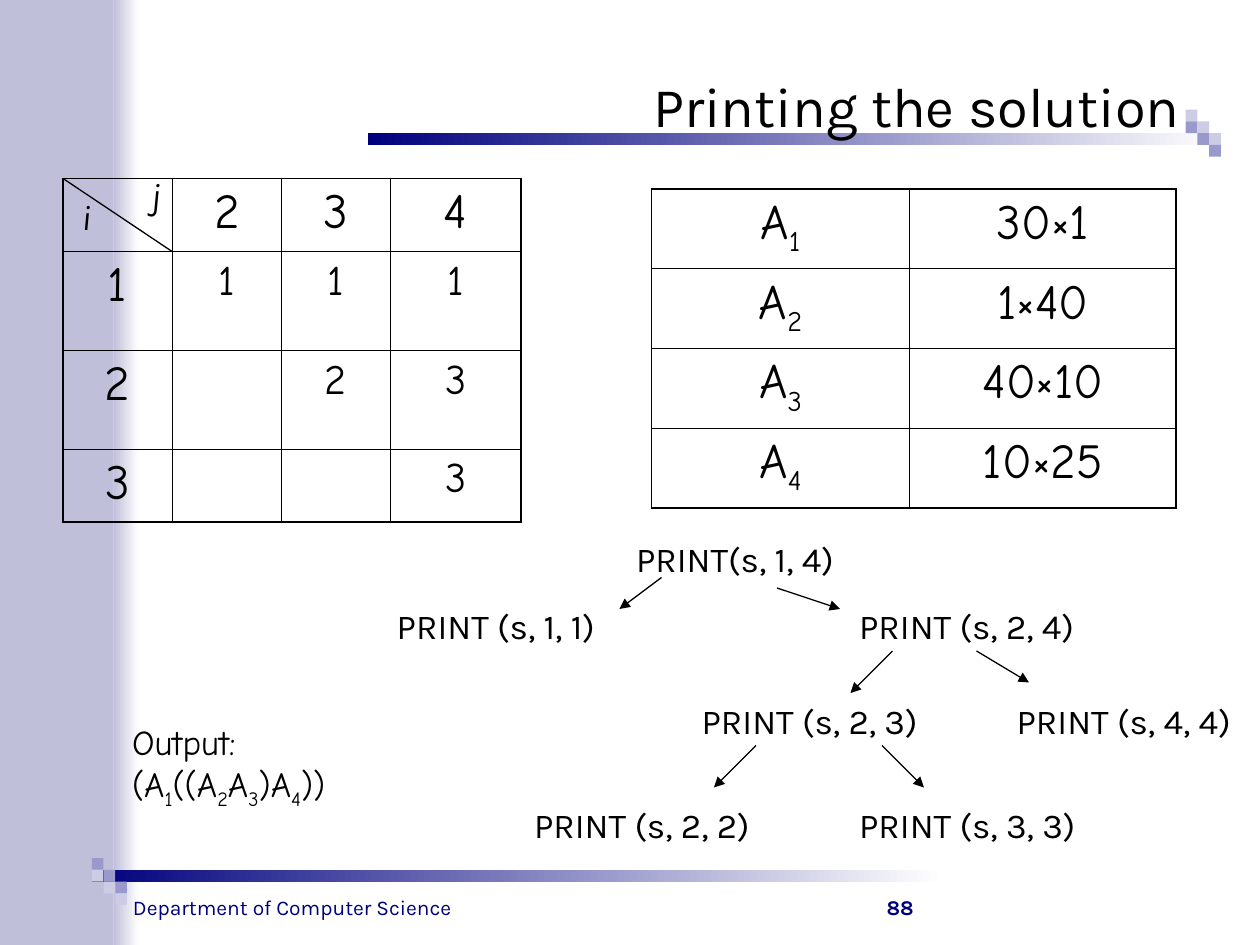
import pptx
import pptx.util
import pptx.dml.color
import pptx.enum.shapes
import pptx.enum.text
import pptx.oxml.ns
import lxml.etree

RGBColor = pptx.dml.color.RGBColor
ALIGN = pptx.enum.text.PP_ALIGN
ANCHOR = pptx.enum.text.MSO_ANCHOR
FIT = pptx.enum.text.MSO_AUTO_SIZE

BLACK = RGBColor(0x00, 0x00, 0x00)
WHITE = RGBColor(0xFF, 0xFF, 0xFF)
NAVY = RGBColor(0x00, 0x00, 0x7D)
SIDEBAR = RGBColor(0xBF, 0xBF, 0xDA)
LIGHT = RGBColor(0xCC, 0xCC, 0xE6)
MEDIUM = RGBColor(0x99, 0x99, 0xCC)

GRID_COLUMNS, GRID_ROWS = 120, 90
SQUARE = 1.12
BAR_LENGTH = 81.12
STAIRS = [(0, 0), (0, 1), (1, 1), (1, 2), (2, 2), (2, 3)]
STAIRCASES = [
    ((8.74, 81.72), (MEDIUM, LIGHT), 8.74, 1),
    ((112.92, 10.44), (LIGHT, MEDIUM), 35.04, 2),
]

TITLE = ("Printing the solution", (26.4, 1.56, 87.24, 12.24))
SPLIT_ROWS = [["", "2", "3", "4"],
              ["1", "1", "1", "1"],
              ["2", "", "2", "3"],
              ["3", "", "", "3"]]
MATRIX_ROWS = [["A_1", "30×1"],
               ["A_2", "1×40"],
               ["A_3", "40×10"],
               ["A_4", "10×25"]]
SPLIT_COLUMNS, SPLIT_HEIGHTS = [10.4, 10.4, 10.4, 12.4], [6.96, 9.4, 9.4, 6.96]
MATRIX_COLUMNS, MATRIX_HEIGHTS = [24.6, 25.36], [7.6] * 4

LEVELS = [50.64, 57, 66, 75.96]
CALLS = [
    ("PRINT(s, 1, 4)", 59.4, 0),
    ("PRINT (s, 1, 1)", 36.6, 1),
    ("PRINT (s, 2, 4)", 80.64, 1),
    ("PRINT (s, 2, 3)", 65.64, 2),
    ("PRINT (s, 4, 4)", 95.64, 2),
    ("PRINT (s, 2, 2)", 49.68, 3),
    ("PRINT (s, 3, 3)", 80.64, 3),
]
ARROWS = [(63, 55, 59, 58), (74, 56, 80, 58), (85, 62, 81, 66),
          (93, 62, 98, 65), (72, 71, 68, 75), (84, 71, 88, 75)]
DIAGONAL = (6, 17, 16.4, 23.96)

CALL_FONT = {"name": "Karla", "size": pptx.util.Pt(20)}
INDEX_FONT = {**CALL_FONT, "italic": True}
OUTPUT_FONT = {"name": "Comic Neue", "size": pptx.util.Pt(20)}
FOOTER_FONT = {"name": "Karla", "size": pptx.util.Pt(12)}
TITLE_FONT = {"name": "Karla", "size": pptx.util.Pt(32)}

presentation = pptx.Presentation()
presentation.slide_width = pptx.util.Inches(10)
presentation.slide_height = pptx.util.Inches(7.5)
slide = presentation.slides.add_slide(presentation.slide_layouts[5])


def across(columns):
    return round(presentation.slide_width * columns / GRID_COLUMNS)


def down(rows):
    return round(presentation.slide_height * rows / GRID_ROWS)


def place(box):
    left, top, width, height = box
    return across(left), down(top), across(width), down(height)


def write(frame, text, font, color=BLACK, align=ALIGN.LEFT, before=0):
    paragraph = frame.paragraphs[0]
    paragraph.alignment = align
    paragraph.space_before = pptx.util.Pt(before)
    first, *rest = text.split("_")
    pieces = [(first, False)]
    for part in rest:
        pieces += [(part[0], True), (part[1:], False)]
    for piece, lowered in pieces:
        if piece:
            run = paragraph.add_run()
            run.text = piece
            run.font.color.rgb = color
            for key, value in font.items():
                setattr(run.font, key, value)
            if lowered:
                run.font._element.set("baseline", "-25000")


def add_text(text, box, font, color=BLACK, align=ALIGN.LEFT, before=0, **frame_format):
    frame = slide.shapes.add_textbox(*place(box)).text_frame
    settings = {"word_wrap": False, "auto_size": FIT.SHAPE_TO_FIT_TEXT, **frame_format}
    for key, value in settings.items():
        setattr(frame, key, value)
    write(frame, text, font, color, align, before)


def add_block(box, *colors):
    shape = slide.shapes.add_shape(pptx.enum.shapes.MSO_SHAPE.RECTANGLE, *place(box))
    shape.shadow.inherit = False
    shape.line.fill.background()
    if len(colors) == 1:
        shape.fill.solid()
        shape.fill.fore_color.rgb = colors[0]
    else:
        shape.fill.gradient()
        shape.fill.gradient_angle = 0
        for stop, color in zip(shape.fill.gradient_stops, colors):
            stop.color.rgb = color


def add_line(ends, arrow=False):
    x1, y1, x2, y2 = ends
    line = slide.shapes.add_connector(pptx.enum.shapes.MSO_CONNECTOR.STRAIGHT,
                                      across(x1), down(y1), across(x2), down(y2))
    line.line.color.rgb = BLACK
    line.line.width = pptx.util.Pt(0.75)
    if arrow:
        lxml.etree.SubElement(line.line._get_or_add_ln(), pptx.oxml.ns.qn("a:tailEnd"),
                              type="triangle")
    lxml.etree.SubElement(line._element.spPr, pptx.oxml.ns.qn("a:effectLst"))


def add_borders(cell, outer_sides):
    properties = cell._tc.get_or_add_tcPr()
    for side in "LRTB":
        width = pptx.util.Pt(1.08 if outer_sides[side] else 0.45)
        border = lxml.etree.SubElement(properties, pptx.oxml.ns.qn("a:ln" + side), w=str(width))
        fill = lxml.etree.SubElement(border, pptx.oxml.ns.qn("a:solidFill"))
        lxml.etree.SubElement(fill, pptx.oxml.ns.qn("a:srgbClr"), val=str(BLACK))


def add_grid(left, top, widths, heights, rows, is_small):
    table = slide.shapes.add_table(len(heights), len(widths),
                                   *place((left, top, sum(widths), sum(heights)))).table
    table.first_row = table.horz_banding = False
    for column, width in zip(table.columns, widths):
        column.width = across(width)
    for row, height in zip(table.rows, heights):
        row.height = down(height)
    for r, texts in enumerate(rows):
        for c, text in enumerate(texts):
            cell = table.cell(r, c)
            add_borders(cell, {"L": c == 0, "R": c == len(widths) - 1,
                               "T": r == 0, "B": r == len(heights) - 1})
            cell.fill.background()
            size, before = (24, 6) if is_small(r, c) else (28, 7)
            font = {"name": "Comic Neue", "size": pptx.util.Pt(size)}
            write(cell.text_frame, text, font, align=ALIGN.CENTER, before=before)


add_block((10.8, 0, 2.4, GRID_ROWS), SIDEBAR, WHITE)
add_block((0, 0, 10.8, GRID_ROWS), SIDEBAR)
for (left, top), colors, bar_left, bar_row in STAIRCASES:
    add_block((bar_left, top + bar_row * SQUARE, BAR_LENGTH, SQUARE), NAVY, WHITE)
    for step, (column, row) in enumerate(STAIRS):
        add_block((left + column * SQUARE, top + row * SQUARE, SQUARE, SQUARE), colors[step % 2])

add_text("Department of Computer Science", (10.92, 84.6, 33.84, 3.6), FOOTER_FONT,
         NAVY, ALIGN.CENTER, before=3)
add_text("88", (41.4, 82.2, 46.8, 6), {**FOOTER_FONT, "bold": True}, NAVY, ALIGN.RIGHT,
         word_wrap=True, auto_size=FIT.NONE, vertical_anchor=ANCHOR.BOTTOM)

title = slide.shapes.title
title.left, title.top, title.width, title.height = place(TITLE[1])
title.text_frame.auto_size = FIT.NONE
title.text_frame.vertical_anchor = ANCHOR.BOTTOM
write(title.text_frame, TITLE[0], TITLE_FONT, align=ALIGN.RIGHT)
slide.shapes._spTree.append(title._element)

add_grid(62.04, 18, MATRIX_COLUMNS, MATRIX_HEIGHTS, MATRIX_ROWS, lambda r, c: False)
add_grid(6, 17, SPLIT_COLUMNS, SPLIT_HEIGHTS, SPLIT_ROWS, lambda r, c: r > 0 and c > 0)
add_line(DIAGONAL)
add_text("i", (6.6, 18, 3.24, 5.28), INDEX_FONT)
add_text("j", (13.2, 15.96, 3.24, 5.28), INDEX_FONT)

for text, left, level in CALLS:
    add_text(text, (left, LEVELS[level], 23.76, 5.28), CALL_FONT)
for ends in ARROWS:
    add_line(ends, arrow=True)
add_text("Output: (A_1((A_2A_3)A_4))", (11.4, 68.04, 31.68, 5.76), OUTPUT_FONT)

presentation.save("out.pptx")
